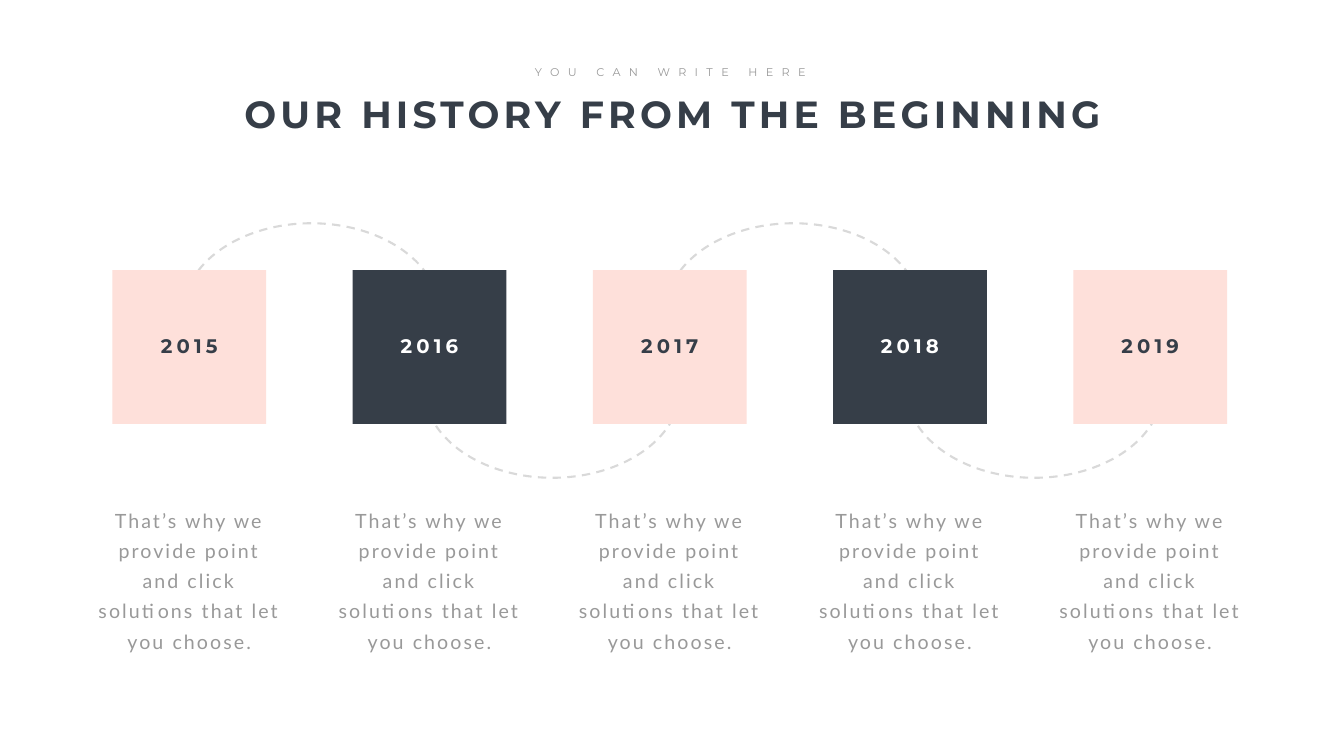
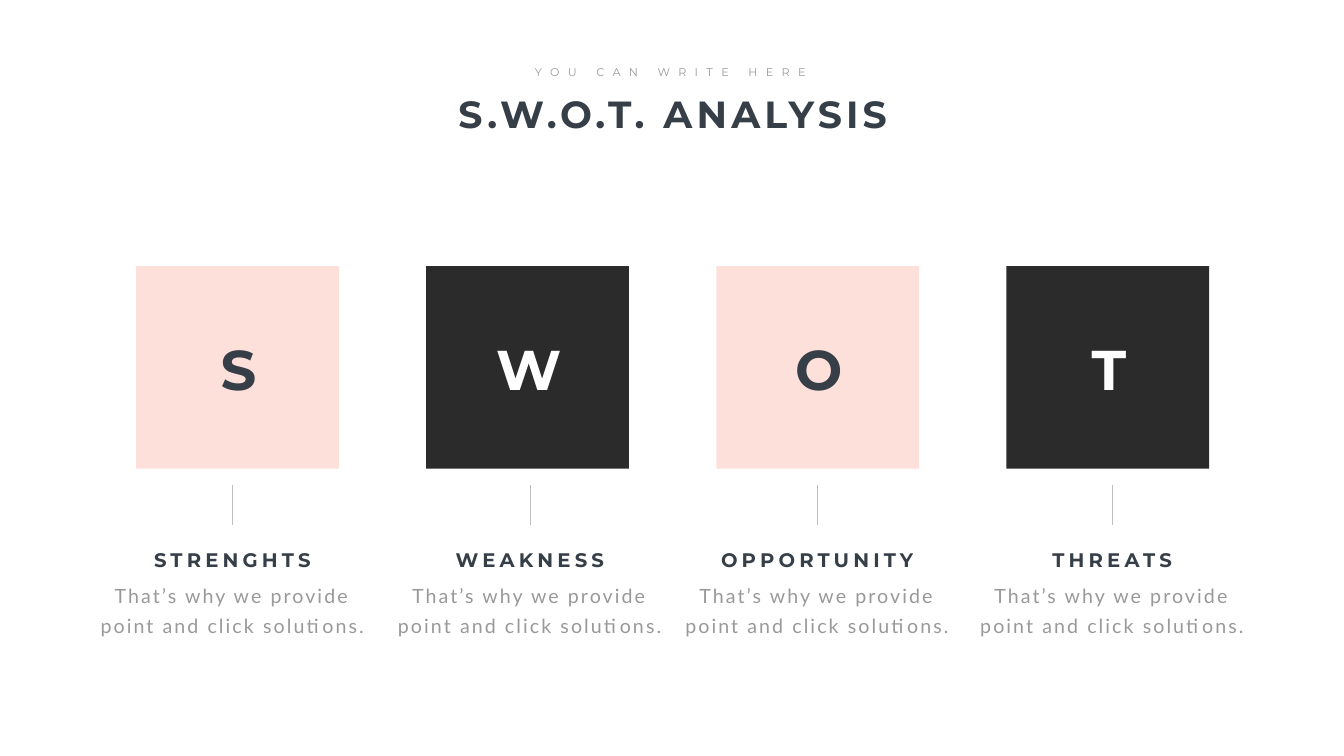
from pptx import Presentation
from pptx.dml.color import RGBColor
from pptx.enum.dml import MSO_LINE
from pptx.enum.shapes import MSO_CONNECTOR, MSO_SHAPE
from pptx.enum.text import MSO_ANCHOR, MSO_AUTO_SIZE as AUTO, PP_ALIGN
from pptx.oxml.ns import qn
from pptx.util import Inches, Pt
from lxml.etree import SubElement

WIDTH, HEIGHT = 26.66, 15
PINK, SLATE, BLACK, WHITE = "FEE0DA", "363E48", "2B2B2B", "FFFFFF"
GREY, DASH, RULE = "999999", "D9D9D9", "BFBFBF"
HEAD, BODY = "Montserrat", "Lato"
TITLE_AXIS = 13.35
KICKER = "YOU CAN WRITE HERE"

HISTORY = {
    "title": ("OUR HISTORY FROM THE BEGINNING", 17.48),
    "years": ["2015", "2016", "2017", "2018", "2019"],
    "body": "That’s why we provide point and click solutions that let you choose.",
}
SWOT = {
    "title": ("S.W.O.T. ANALYSIS", 9.07),
    "parts": [
        ("S", 1, "STRENGHTS", 4.61),
        ("W", 1.59, "WEAKNESS", 10.51),
        ("O", 1.23, "OPPORTUNITY", 16.21),
        ("T", 0.98, "THREATS", 22.06),
    ],
    "body": "That’s why we provide point and click solutions.",
}


def rgb(value):
    return RGBColor.from_string(value)


def box(left, top, width, height):
    return [Inches(v) for v in (left, top, width, height)]


def centred(axis, top, width, height):
    return box(axis - width / 2, top, width, height)


def write(sp, text, size, color, spacing, font=HEAD, bold=False, wrap=True, leading=None):
    tf = sp.text_frame
    tf.word_wrap = wrap
    tf.auto_size = AUTO.SHAPE_TO_FIT_TEXT
    tf.vertical_anchor = MSO_ANCHOR.TOP
    p = tf.paragraphs[0]
    p.alignment = PP_ALIGN.CENTER
    if leading:
        p.line_spacing = Pt(leading)
    r = p.add_run()
    r.text = text
    r._r.get_or_add_rPr().set("spc", str(spacing * 100))
    f = p.font
    f.name, f.size, f.bold = font, Pt(size), bold
    f.color.rgb = rgb(color)


def label(s, place, text, size, color, spacing=6, **style):
    write(s.shapes.add_textbox(*place), text, size, color, spacing, **style)


def body(s, place, text):
    label(s, place, text, 28, GREY, 3, font=BODY, leading=43)


def square(s, left, top, side, fill):
    sp = s.shapes.add_shape(MSO_SHAPE.RECTANGLE, *box(left, top, side, side))
    sp.shadow.inherit = False
    sp.fill.solid()
    sp.fill.fore_color.rgb = rgb(fill)
    sp.line.fill.background()


def arc(s, left, top, below):
    sp = s.shapes.add_shape(MSO_SHAPE.ARC, *box(left, top, 5.09, 3.57))
    sp.adjustments[0], sp.adjustments[1] = 116.455, 207.907
    sp.rotation = 180 if below else 0
    sp.shadow.inherit = False
    sp.fill.background()
    sp.line.color.rgb = rgb(DASH)
    sp.line.width = Pt(3)
    sp.line.dash_style = MSO_LINE.DASH


def rule(s, x, top, bottom):
    line = s.shapes.add_connector(MSO_CONNECTOR.STRAIGHT, *box(x, top, x, bottom))
    line.line.color.rgb = rgb(RULE)
    line.line.width = Pt(0.5)
    SubElement(line._element.spPr, qn("a:effectLst"))


def new_slide(prs, title, width):
    s = prs.slides.add_slide(prs.slide_layouts[5])
    sp = s.shapes.title
    sp.left, sp.top, sp.width, sp.height = centred(TITLE_AXIS, 1.74, width, 1.01)
    write(sp, title, 54, SLATE, 6, bold=True, wrap=False)
    label(s, centred(13.3, 1.24, 5.78, 0.37), KICKER, 16, GREY, 12, wrap=False)
    return s


def history(prs):
    s = new_slide(prs, *HISTORY["title"])
    left, pitch, side = 2.23, 4.765, 3.05
    for i in range(len(HISTORY["years"]) - 1):
        below = i % 2 == 1
        arc(s, 3.63 + i * 4.78, 5.91 if below else 4.43, below)
    for i, year in enumerate(HISTORY["years"]):
        fill, ink = [(PINK, SLATE), (SLATE, WHITE)][i % 2]
        x = left + i * pitch
        axis = x + side / 2
        square(s, x, 5.36, side, fill)
        label(s, centred(axis, 6.57, 2.39, 0.62), year, 28, ink, bold=True)
        body(s, centred(axis, 9.92, 3.83, 3.06), HISTORY["body"])


def swot(prs):
    s = new_slide(prs, *SWOT["title"])
    left, pitch, side = 2.7, 5.755, 4.02
    for i, (letter, width, name, axis) in enumerate(SWOT["parts"]):
        fill, ink = [(PINK, SLATE), (BLACK, WHITE)][i % 2]
        x = left + i * pitch
        square(s, x, 5.28, side, fill)
        label(s, centred(x + side / 2 + 0.02, 6.59, width, 1.45), letter, 80, ink,
              bold=True, wrap=False)
        rule(s, axis, 9.62, 10.41)
        label(s, centred(axis, 10.83, 4.41, 0.57), name, 28, SLATE, bold=True)
        body(s, centred(axis, 11.4, 5.87, 1.25), SWOT["body"])


def main():
    prs = Presentation()
    prs.slide_width, prs.slide_height = Inches(WIDTH), Inches(HEIGHT)
    history(prs)
    swot(prs)
    prs.save("out.pptx")


if __name__ == "__main__":
    main()
